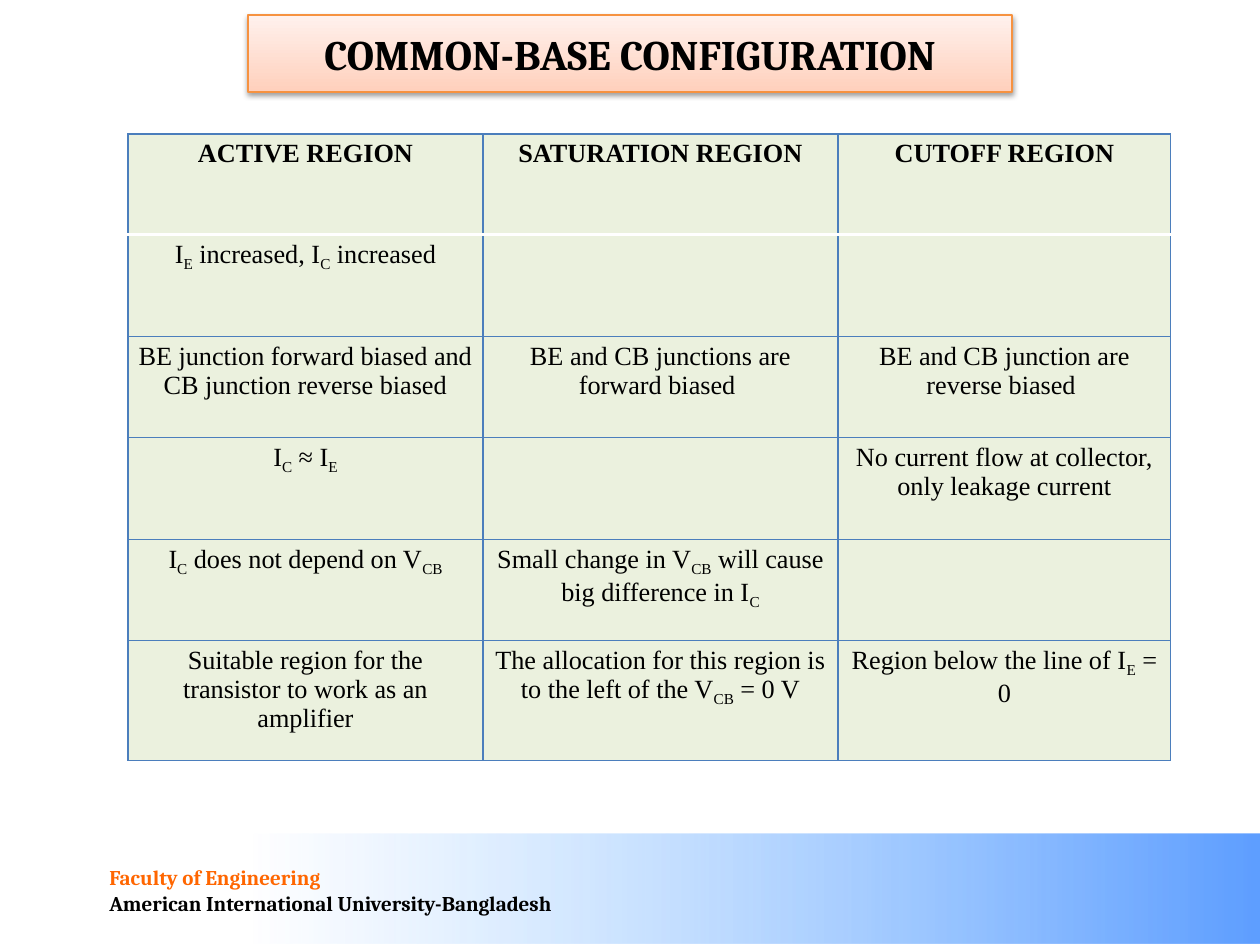
import pptx
import pptx.dml.color
import pptx.enum.shapes
import pptx.enum.text
import pptx.oxml
import pptx.oxml.ns
import pptx.util

PX = 914400 // 126
NS = 'xmlns:a="http://schemas.openxmlformats.org/drawingml/2006/main"'
INK, ORANGE, CELL_GREEN, GRID_BLUE = "000000", "FF6600", "EBF1DE", "4B7EBC"


def color(hex_string):
    return pptx.dml.color.RGBColor.from_string(hex_string)


def set_gradient(shape, angle, stops):
    """Stops are (position %, colour, opacity %); the angle is counter-clockwise."""
    shape.fill.gradient()
    shape.fill.gradient_angle = angle
    stop_list = shape.fill._xPr.find(".//" + pptx.oxml.ns.qn("a:gsLst"))
    for old_stop in list(stop_list):
        stop_list.remove(old_stop)
    for position, hex_string, opacity in stops:
        stop_list.append(pptx.oxml.parse_xml(
            f'<a:gs {NS} pos="{position * 1000}"><a:srgbClr val="{hex_string}">'
            f'<a:alpha val="{opacity * 1000}"/></a:srgbClr></a:gs>'))


deck = pptx.Presentation()
deck.slide_width = pptx.util.Inches(10)
deck.slide_height = pptx.util.Inches(7.5)
slide = deck.slides.add_slide(deck.slide_layouts[5])

# Footer band and faculty name
band = slide.shapes.add_shape(pptx.enum.shapes.MSO_SHAPE.RECTANGLE,
                              0, 834 * PX, 1260 * PX, 110 * PX)
band.shadow.inherit = False
band.line.fill.background()
set_gradient(band, 180, [(0, "5E9EFF", 100), (80, "85C2FF", 0), (100, "85C2FF", 0)])

faculty = slide.shapes.add_textbox(97 * PX, 834 * PX, 479 * PX, 90 * PX)
faculty.text_frame.margin_top = 31 * PX
faculty.text_frame.text = "Faculty of Engineering\nAmerican International University-Bangladesh"
for line, line_color in zip(faculty.text_frame.paragraphs, (ORANGE, INK)):
    line.font.name = "Cambria"
    line.font.size = pptx.util.Pt(12)
    line.font.bold = True
    line.font.color.rgb = color(line_color)

# Title
title = slide.shapes.title
title.left, title.top, title.width, title.height = (n * PX for n in (248, 15, 764, 77))
set_gradient(title, 270, [(0, "FFF1ED", 100), (100, "FFD0BC", 100)])
title.line.color.rgb = color("F69240")
title.line.width = pptx.util.Pt(0.75)
title._element.spPr.append(pptx.oxml.parse_xml(
    f'<a:effectLst {NS}><a:outerShdw blurRad="40000" dist="20000" dir="5400000" rotWithShape="0">'
    f'<a:srgbClr val="{INK}"><a:alpha val="38000"/></a:srgbClr></a:outerShdw></a:effectLst>'))
heading = title.text_frame
heading.text = "COMMON-BASE CONFIGURATION"
heading.auto_size = pptx.enum.text.MSO_AUTO_SIZE.NONE
heading.vertical_anchor = pptx.enum.text.MSO_ANCHOR.MIDDLE
heading.margin_left = heading.margin_right = 8 * PX
heading.margin_top = heading.margin_bottom = 4 * PX
heading.paragraphs[0].alignment = pptx.enum.text.PP_ALIGN.CENTER
heading_font = heading.paragraphs[0].runs[0].font
heading_font.name = "Cambria"
heading_font.size = pptx.util.Pt(24)
heading_font.bold = True
heading_font.color.rgb = color(INK)

# Region comparison; braces mark subscripts
region_rows = [
    ["ACTIVE REGION", "SATURATION REGION", "CUTOFF REGION"],
    ["I{E} increased, I{C} increased", "", ""],
    ["BE junction forward biased and CB junction reverse biased",
     "BE and CB junctions are forward biased ",
     "BE and CB junction are reverse biased "],
    ["I{C} ≈ I{E}", "", "No current flow at collector, only leakage current"],
    ["I{C} does not depend on V{CB}",
     "Small change in V{CB} will cause big difference in I{C}", ""],
    ["Suitable region for the transistor to work as an amplifier",
     "The allocation for this region is to the left of the V{CB} = 0 V",
     "Region below the line of I{E} = 0"],
]
column_widths = [355, 355, 333]
row_heights = [101, 102, 101, 102, 101, 120]
regions = slide.shapes.add_table(
    len(row_heights), len(column_widths), 128 * PX, 134 * PX,
    sum(column_widths) * PX, sum(row_heights) * PX).table
for column, width in zip(regions.columns, column_widths):
    column.width = width * PX
for row, height in zip(regions.rows, row_heights):
    row.height = height * PX

for r, row_texts in enumerate(region_rows):
    for c, text in enumerate(row_texts):
        cell = regions.cell(r, c)
        for side in "LRTB":
            under_header = (r, side) in ((0, "B"), (1, "T"))
            border_color, points = ("FFFFFF", 2) if under_header else (GRID_BLUE, 0.75)
            cell._tc.get_or_add_tcPr().append(pptx.oxml.parse_xml(
                f'<a:ln{side} {NS} w="{pptx.util.Pt(points)}"><a:solidFill>'
                f'<a:srgbClr val="{border_color}"/></a:solidFill></a:ln{side}>'))
        cell.fill.solid()
        cell.fill.fore_color.rgb = color(CELL_GREEN)
        cell.margin_left = cell.margin_right = 9 * PX
        cell.margin_top = cell.margin_bottom = 5 * PX
        entry = cell.text_frame.paragraphs[0]
        entry.alignment = pptx.enum.text.PP_ALIGN.CENTER
        for i, part in enumerate(text.replace("}", "{").split("{")):
            if not part:
                continue
            run = entry.add_run()
            run.text = part
            run.font.name = "Times New Roman"
            run.font.size = pptx.util.Pt(15)
            run.font.bold = r == 0
            run.font.color.rgb = color(INK)
            if i % 2:
                run.font._element.set("baseline", "-25000")

deck.save("out.pptx")
